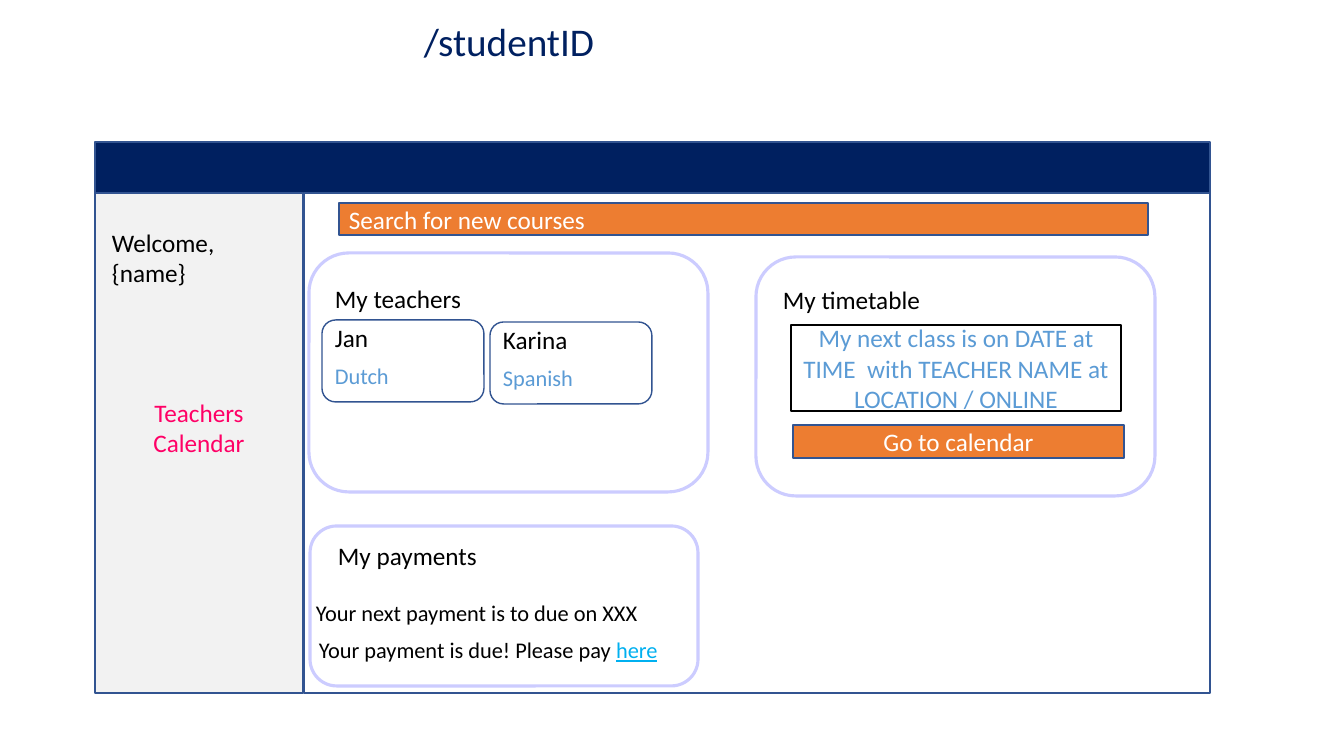
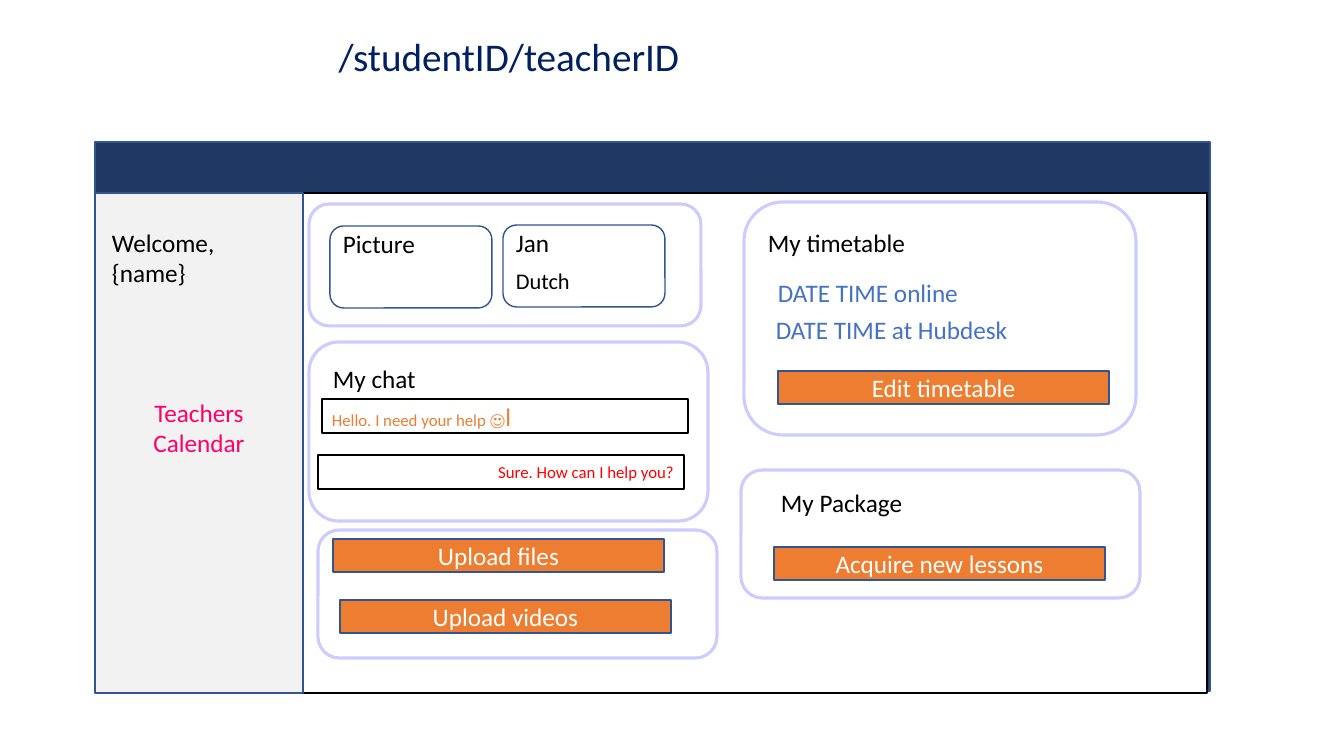
from pptx import Presentation
from pptx.dml.color import RGBColor
from pptx.enum.shapes import MSO_SHAPE
from pptx.enum.text import MSO_ANCHOR, MSO_AUTO_SIZE, PP_ALIGN
from pptx.util import Emu, Pt

RECT, ROUND = MSO_SHAPE.RECTANGLE, MSO_SHAPE.ROUNDED_RECTANGLE
TOP, MIDDLE = MSO_ANCHOR.TOP, MSO_ANCHOR.MIDDLE
LEFT, CENTER, RIGHT = PP_ALIGN.LEFT, PP_ALIGN.CENTER, PP_ALIGN.RIGHT
FIXED = MSO_AUTO_SIZE.NONE

PX = 914400 / 100.8
FONT = "Calibri"
COLORS = {
    "navy": "002060", "slate": "203864", "edge": "325491", "white": "FFFFFF",
    "black": "000000", "grey": "F2F2F2", "pink": "FF0066", "orange": "ED7D31",
    "lilac": "CCCCFF", "sky": "5B9BD5", "blue": "4472C4", "link": "00B0F0",
    "red": "FF0000",
}

TITLE = {"size": 28, "color": "navy", "align": CENTER}
LABEL = {"size": 18, "color": "black", "align": LEFT}
NOTE = {**LABEL, "size": 16}
SUBJECT = {**NOTE, "color": "sky"}
LESSON = {**LABEL, "color": "blue"}
BAR = {"shape": RECT, "line": "edge", "weight": 1}
SIDEBAR = {**BAR, "fill": "grey", "color": "pink", "size": 18, "align": CENTER}
BUTTON = {**BAR, "fill": "orange", "color": "white", "size": 18, "align": CENTER}
SEARCH = {**BUTTON, "align": LEFT}
FIELD = {"shape": RECT, "fill": "white", "line": "black", "weight": 1}
NEXT_CLASS = {**FIELD, "color": "sky", "size": 18, "align": CENTER}
SENT = {**FIELD, "color": "orange", "size": 12, "align": LEFT}
REPLY = {**FIELD, "color": "red", "size": 12, "align": RIGHT}
PANEL = {"shape": ROUND, "line": "lilac", "weight": 2.25}
CARD = {"shape": ROUND, "fill": "white", "line": "edge", "weight": 1}

LABEL_SIZE = (169, 40)
NOTE_SIZE = (388, 37)
LESSON_SIZE = (282, 40)
BUTTON_SIZE = (331, 33)
MESSAGE_SIZE = (366, 34)
CARD_SIZE = (162, 82)

PAGES = [
    {
        "title": "/studentID", "title_top": 12, "header": "navy",
        "content_left": 304, "content_line": "edge",
        "panels": [(309, 253, 399, 239), (756, 257, 399, 239), (310, 526, 388, 160)],
        "cards": [(322, 320, "Jan", "Dutch", SUBJECT),
                  (490, 322, "Karina", "Spanish", SUBJECT)],
        "labels": [(325, 278, "My teachers"), (773, 279, "My timetable"),
                   (328, 535, "My payments")],
        "buttons": [(793, 425, "Go to calendar")],
        "others": [
            (SEARCH, (339, 203, 809, 32), ["Search for new courses"]),
            (NEXT_CLASS, (791, 325, 330, 86),
             ["My next class is on DATE at TIME  with TEACHER NAME at LOCATION / ONLINE"]),
            (NOTE, (306, 594, *NOTE_SIZE), ["Your next payment is to due on XXX"]),
            (NOTE, (309, 631, *NOTE_SIZE),
             [[("Your payment is due! Please pay ", {}),
               ("here", {"color": "link", "underline": True})]]),
        ],
    },
    {
        "title": "/studentID/teacherID", "title_top": 27, "header": "slate",
        "content_left": 301, "content_line": "black",
        "panels": [(309, 204, 392, 122), (744, 202, 392, 233), (309, 342, 399, 179),
                   (741, 470, 399, 128), (318, 530, 399, 128)],
        "cards": [(330, 226, "Picture", None, None),
                  (503, 225, "Jan", "Dutch", NOTE)],
        "labels": [(758, 222, "My timetable"), (323, 358, "My chat"),
                   (771, 482, "My Package")],
        "buttons": [(778, 371, "Edit timetable"), (774, 547, "Acquire new lessons"),
                    (333, 539, "Upload files"), (340, 600, "Upload videos")],
        "others": [
            (SENT, (322, 399, *MESSAGE_SIZE),
             [[("Hello. I need your help \u263a", {}), ("l", {"size": 18})]]),
            (REPLY, (318, 455, *MESSAGE_SIZE), ["Sure. How can I help you?"]),
            (LESSON, (768, 272, *LESSON_SIZE), ["DATE TIME online"]),
            (LESSON, (766, 309, *LESSON_SIZE), ["DATE TIME at Hubdesk"]),
        ],
    },
]


def px(value):
    return Emu(round(value * PX))


def rgb(name):
    return RGBColor.from_string(COLORS[name])


def write(shape, style, lines, anchor):
    frame = shape.text_frame
    settings = {"word_wrap": True, "auto_size": FIXED, "vertical_anchor": anchor}
    for name, value in settings.items():
        setattr(frame, name, value)
    for number, line in enumerate(lines):
        para = frame.add_paragraph() if number else frame.paragraphs[0]
        para.alignment = style["align"]
        for text, changes in [(line, {})] if isinstance(line, str) else line:
            look = {**style, **changes}
            span = para.add_run()
            span.text = text
            font = {"name": FONT, "size": Pt(look["size"]),
                    "underline": look.get("underline")}
            for name, value in font.items():
                setattr(span.font, name, value)
            span.font.color.rgb = rgb(look["color"])


def draw(page, style, area, lines=()):
    place = [px(value) for value in area]
    if "shape" in style:
        box = page.shapes.add_shape(style["shape"], *place)
        box.shadow.inherit = False
        if "fill" in style:
            box.fill.solid()
            box.fill.fore_color.rgb = rgb(style["fill"])
        else:
            box.fill.background()
        box.line.color.rgb = rgb(style["line"])
        box.line.width = Pt(style["weight"])
    else:
        box = page.shapes.add_textbox(*place)
    if lines:
        write(box, style, lines, MIDDLE if "shape" in style else TOP)
    return box


def draw_frame(page, content):
    title = page.shapes.title
    place = {"left": 252, "top": content["title_top"], "width": 514, "height": 57}
    for name, value in place.items():
        setattr(title, name, px(value))
    write(title, TITLE, [content["title"]], TOP)
    draw(page, {**BAR, "fill": content["header"]}, (95, 142, 1115, 549))
    draw(page, {**FIELD, "line": content["content_line"]},
         (content["content_left"], 193, 906, 500))
    sidebar = draw(page, SIDEBAR, (95, 193, 208, 500), ["Teachers", "Calendar"])
    sidebar.text_frame.margin_bottom = px(36)
    draw(page, LABEL, (102, 222, 179, 72), ["Welcome, {name}"])


def draw_card(page, left, top, name, subject, subject_style):
    draw(page, CARD, (left, top, *CARD_SIZE))
    draw(page, LABEL, (left + 3, top - 3, *LABEL_SIZE), [name])
    if subject:
        draw(page, subject_style, (left + 3, top + 37, *LABEL_SIZE), [subject])


deck = Presentation()
deck.slide_width, deck.slide_height = px(1344), px(756)
title_only = deck.slide_layouts[5]

for content in PAGES:
    page = deck.slides.add_slide(title_only)
    draw_frame(page, content)
    for area in content["panels"]:
        draw(page, PANEL, area)
    for card in content["cards"]:
        draw_card(page, *card)
    for style, size, group in ((LABEL, LABEL_SIZE, "labels"),
                               (BUTTON, BUTTON_SIZE, "buttons")):
        for left, top, text in content[group]:
            draw(page, style, (left, top, *size), [text])
    for style, area, lines in content["others"]:
        draw(page, style, area, lines)

deck.save("out.pptx")
